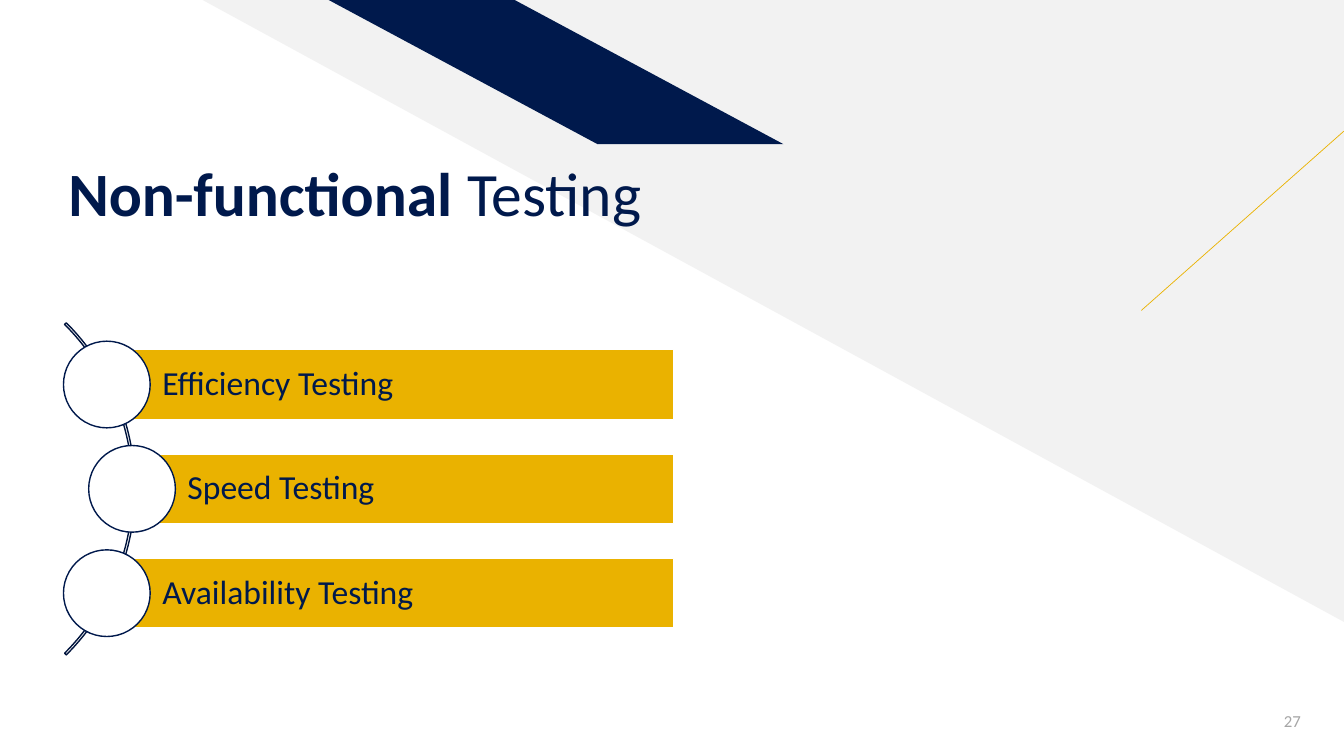
from lxml.etree import SubElement
from pptx import Presentation
from pptx.dml.color import RGBColor
from pptx.enum.shapes import MSO_CONNECTOR, MSO_SHAPE
from pptx.enum.text import MSO_ANCHOR, PP_ALIGN
from pptx.oxml.ns import qn
from pptx.util import Inches, Pt

COLORS = {
    "navy": "00194C",
    "dark_navy": "00143D",
    "gold": "EAB200",
    "pale": "F2F2F2",
    "gray": "A5A5A5",
    "white": "FFFFFF",
}
FONT = "Calibri"
SLIDE_W, SLIDE_H = 13.33, 7.5
TESTS = ["Efficiency Testing", "Speed Testing", "Availability Testing"]
LIST_LEFT, LIST_RIGHT, LIST_MIDDLE = 1.06, 6.68, 4.85
ROW_PITCH, MIDDLE_INDENT = 1.035, 0.25
BAR_H, CIRCLE, ARC = 0.69, 0.86, 4.66
ARC_CENTER = -0.99


def color(name):
    return RGBColor.from_string(COLORS[name])


def add_shape(slide, kind, left, top, width, height, fill=None, line=None):
    sp = slide.shapes.add_shape(
        kind, Inches(left), Inches(top), Inches(width), Inches(height))
    sp.shadow.inherit = False
    if fill:
        sp.fill.solid()
        sp.fill.fore_color.rgb = color(fill)
    else:
        sp.fill.background()
    if line:
        sp.line.color.rgb = color(line)
        sp.line.width = Pt(1)
    else:
        sp.line.fill.background()
    return sp


def add_line(slide, x1, y1, x2, y2, line):
    cxn = slide.shapes.add_connector(
        MSO_CONNECTOR.STRAIGHT, Inches(x1), Inches(y1), Inches(x2), Inches(y2))
    cxn.line.color.rgb = color(line)
    cxn.line.width = Pt(0.5)
    SubElement(cxn._element.spPr, qn("a:effectLst"))


def write(sp, runs, size, font_color, anchor, margins, align=PP_ALIGN.LEFT,
          spacing=None):
    tf = sp.text_frame
    tf.word_wrap = True
    tf.vertical_anchor = anchor
    tf.margin_left, tf.margin_top, tf.margin_right, tf.margin_bottom = (
        Inches(m) for m in margins)
    p = tf.paragraphs[0]
    p.alignment = align
    p.line_spacing = spacing
    p.font.name = FONT
    p.font.size = Pt(size)
    p.font.color.rgb = color(font_color)
    for text, bold in runs:
        r = p.add_run()
        r.text = text
        r.font.bold = bold


def add_text(slide, left, top, width, height, *args, **kwargs):
    box = slide.shapes.add_textbox(
        Inches(left), Inches(top), Inches(width), Inches(height))
    write(box, *args, **kwargs)


def add_backdrop(slide):
    triangle = add_shape(slide, MSO_SHAPE.RIGHT_TRIANGLE,
                         2.01, 0, SLIDE_W - 2.01, 6.17, "pale")
    triangle.rotation = 180
    band = add_shape(slide, MSO_SHAPE.PARALLELOGRAM,
                     3.26, 0, 4.51, 1.43, "navy")
    band.adjustments[0] = 1.864
    band._element.spPr.find(qn("a:xfrm")).set("flipH", "1")
    add_line(slide, 11.32, 3.08, SLIDE_W, 1.3, "gold")


def add_arc(slide):
    arc = add_shape(slide, MSO_SHAPE.BLOCK_ARC, ARC_CENTER - ARC / 2,
                    LIST_MIDDLE - ARC / 2, ARC, ARC, line="dark_navy")
    for i, value in enumerate((189, 27, 0.005)):
        arc.adjustments[i] = value


def add_test(slide, row, label):
    offset = row - len(TESTS) // 2
    left = LIST_LEFT + (MIDDLE_INDENT if offset == 0 else 0)
    middle = LIST_MIDDLE + offset * ROW_PITCH
    bar = add_shape(slide, MSO_SHAPE.RECTANGLE, left, middle - BAR_H / 2,
                    LIST_RIGHT - left, BAR_H, "gold", "white")
    write(bar, [(label, False)], 24, "navy", MSO_ANCHOR.MIDDLE,
          (0.55, 0.07, 0.07, 0.07), spacing=0.9)
    add_shape(slide, MSO_SHAPE.OVAL, left - CIRCLE / 2, middle - CIRCLE / 2,
              CIRCLE, CIRCLE, "white", "navy")


def main():
    prs = Presentation()
    prs.slide_width, prs.slide_height = Inches(SLIDE_W), Inches(SLIDE_H)
    slide = prs.slides.add_slide(prs.slide_layouts[6])
    add_backdrop(slide)
    add_text(slide, 0.58, 0.95, 8.03, 1.33,
             [("Non-functional ", True), ("Testing", False)], 44, "navy",
             MSO_ANCHOR.BOTTOM, (0.1, 0.05, 0.1, 0), spacing=0.9)
    add_text(slide, 12.19, 6.95, 0.81, 0.4, [("27", False)], 12, "gray",
             MSO_ANCHOR.MIDDLE, (0.1, 0.05, 0.1, 0.05), PP_ALIGN.RIGHT)
    add_arc(slide)
    for row, label in enumerate(TESTS):
        add_test(slide, row, label)
    prs.save("out.pptx")


if __name__ == "__main__":
    main()
